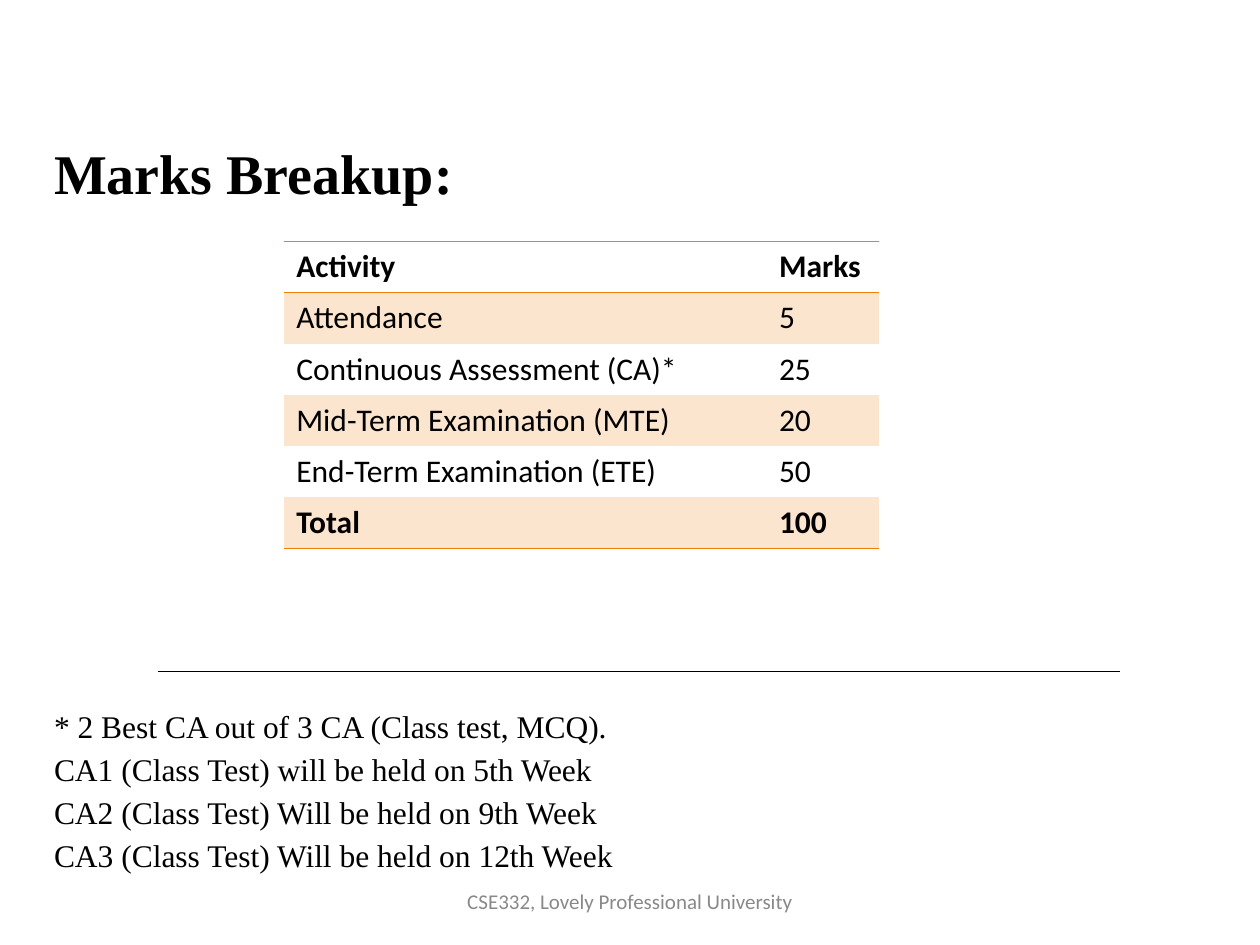
from dataclasses import dataclass

from lxml.etree import SubElement
from pptx import Presentation
from pptx.dml.color import RGBColor
from pptx.enum.shapes import MSO_CONNECTOR as Connector
from pptx.enum.text import MSO_ANCHOR as Anchor, PP_ALIGN as Align
from pptx.oxml.ns import qn
from pptx.util import Cm, Pt


@dataclass(frozen=True)
class Theme:
    serif: str = "Times New Roman"
    sans: str = "Calibri"
    ink: str = "000000"
    muted: str = "898989"
    accent: str = "F07F09"
    band: str = "FCE5CE"
    title: int = 32
    body: int = 18
    small: int = 12
    hairline: float = 0.45
    rule: float = 0.75


THEME = Theme()

MARKS = [
    ("Activity", "Marks"),
    ("Attendance", "5"),
    ("Continuous Assessment (CA)*", "25"),
    ("Mid-Term Examination (MTE)", "20"),
    ("End-Term Examination (ETE)", "50"),
    ("Total", "100"),
]
NOTES = [
    "* 2 Best CA out of 3 CA (Class test, MCQ).",
    "CA1 (Class Test) will be held on 5th Week",
    "CA2 (Class Test) Will be held on 9th Week",
    "CA3 (Class Test) Will be held on 12th Week",
]


def write(frame, lines, *, font=THEME.sans, size=THEME.body, color=THEME.ink,
          bold=False, align=Align.LEFT, spacing=1.0, gap=0):
    frame.word_wrap = True
    for index, line in enumerate(lines):
        paragraph = frame.paragraphs[0] if index == 0 else frame.add_paragraph()
        paragraph.alignment = align
        paragraph.line_spacing = spacing
        paragraph.space_before = Pt(gap if index else 0)
        run = paragraph.add_run()
        run.text = line
        run.font.name = font
        run.font.size = Pt(size)
        run.font.bold = bold
        run.font.color.rgb = RGBColor.from_string(color)


def add_text(slide, box, lines, anchor=Anchor.TOP, **style):
    frame = slide.shapes.add_textbox(*map(Cm, box)).text_frame
    frame.vertical_anchor = anchor
    write(frame, lines, **style)


def set_borders(cell, colored_edges):
    properties = cell._tc.get_or_add_tcPr()
    for edge in "LRTB":
        line = SubElement(properties, qn(f"a:ln{edge}"), w=str(Pt(THEME.hairline)))
        if edge in colored_edges:
            fill = SubElement(line, qn("a:solidFill"))
            SubElement(fill, qn("a:srgbClr"), val=THEME.accent)
        else:
            SubElement(line, qn("a:noFill"))


def add_marks_table(slide, box):
    left, top, width, height = box
    marks_width = 2.27
    table = slide.shapes.add_table(len(MARKS), 2, *map(Cm, box)).table
    table.first_row = table.horz_banding = False
    table.columns[0].width = Cm(width - marks_width)
    table.columns[1].width = Cm(marks_width)
    last = len(MARKS) - 1
    edges = {0: "TB", 1: "T", last: "B"}
    for row, entries in enumerate(MARKS):
        table.rows[row].height = Cm(height / len(MARKS))
        for column, entry in enumerate(entries):
            cell = table.cell(row, column)
            set_borders(cell, edges.get(row, ""))
            if row % 2:
                cell.fill.solid()
                cell.fill.fore_color.rgb = RGBColor.from_string(THEME.band)
            else:
                cell.fill.background()
            write(cell.text_frame, [entry], bold=row in (0, last))


def add_rule(slide, left, y, width):
    rule = slide.shapes.add_connector(
        Connector.STRAIGHT, Cm(left), Cm(y), Cm(left + width), Cm(y))
    rule.line.color.rgb = RGBColor.from_string(THEME.ink)
    rule.line.width = Pt(THEME.rule)
    SubElement(rule._element.spPr, qn("a:effectLst"))


def add_notes(slide, box):
    left, top, width, height = box
    rule_inset, rule_gap = 2.34, 0.68
    add_rule(slide, left + rule_inset, top, 19.4)
    add_text(slide, (left, top + rule_gap, width, height - rule_gap), NOTES,
             font=THEME.serif, spacing=0.9, gap=5)


def main():
    deck = Presentation()
    deck.slide_width, deck.slide_height = Cm(25.4), Cm(19.05)
    slide = deck.slides.add_slide(deck.slide_layouts[6])
    add_text(slide, (0.84, 2.82, 22.86, 1.5), ["Marks Breakup:"],
             font=THEME.serif, size=THEME.title, bold=True, spacing=0.9)
    add_marks_table(slide, (5.72, 4.87, 12, 6.18))
    add_notes(slide, (0.84, 13.54, 22.86, 4.1))
    add_text(slide, (8.68, 17.65, 8.04, 1.02),
             ["CSE332, Lovely Professional University"], anchor=Anchor.MIDDLE,
             size=THEME.small, color=THEME.muted, align=Align.CENTER)
    deck.save("out.pptx")


if __name__ == "__main__":
    main()
